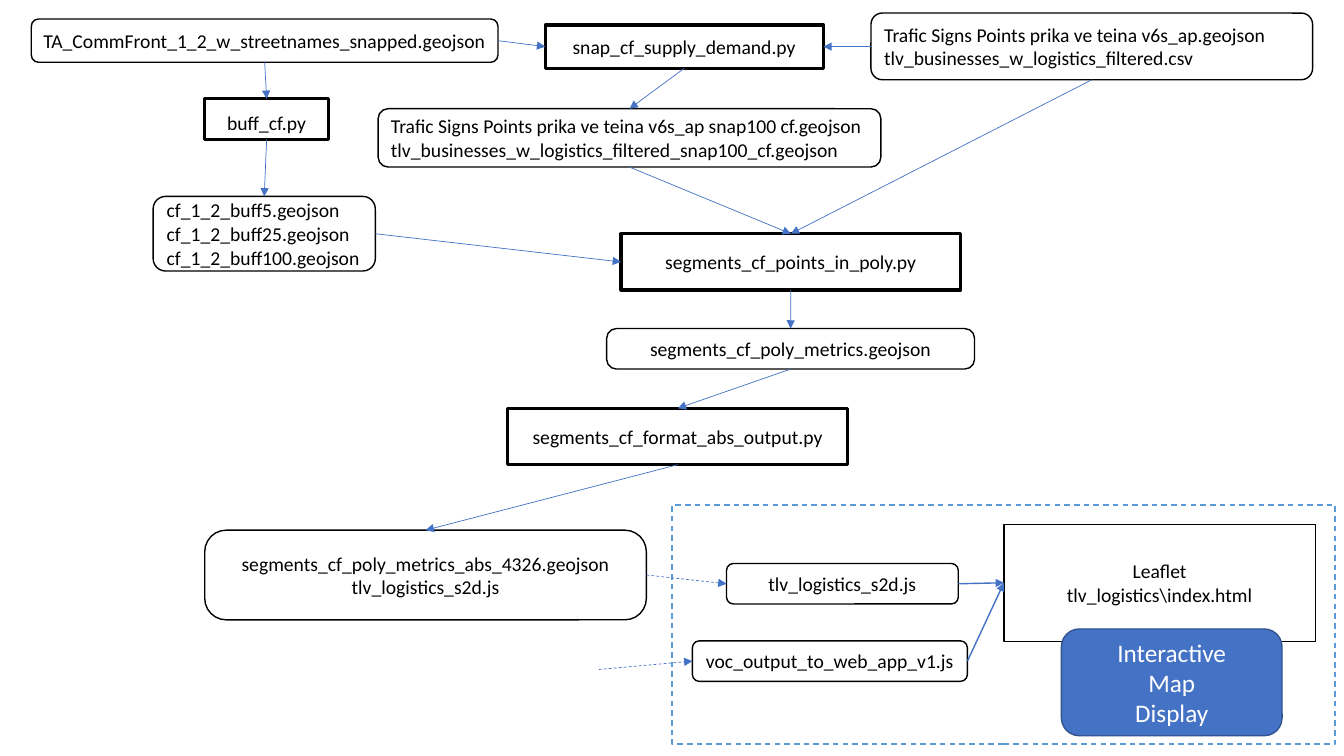
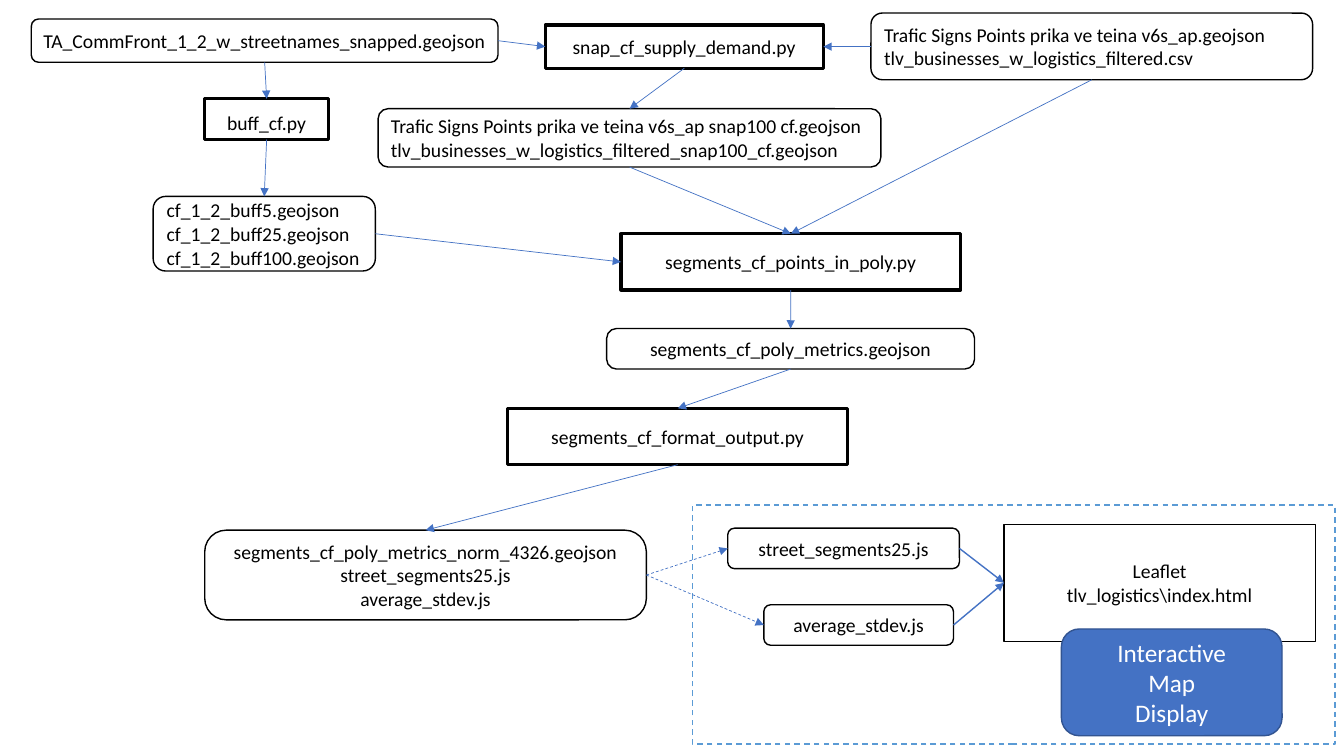
from dataclasses import dataclass

from lxml import etree
from pptx import Presentation
from pptx import util as u
from pptx.dml.color import RGBColor
from pptx.enum import dml, shapes, text
from pptx.oxml import ns

TOP, LEFT, BOTTOM, RIGHT = range(4)


@dataclass(frozen=True)
class Theme:
    font: str = "Calibri"
    body_size: float = 14
    display_size: float = 18
    ink: str = "000000"
    paper: str = "FFFFFF"
    accent: str = "4472C4"
    accent_edge: str = "325491"
    panel_edge: str = "5B9BD5"
    hairline: float = 0.5
    outline: float = 1
    heavy: float = 2.25


class FlowDeck:
    """Holds the theme and the slide being drawn."""

    def __init__(self, theme):
        self.theme = theme
        self.deck = Presentation()
        self.deck.slide_width, self.deck.slide_height = u.Cm(33.87), u.Cm(19.05)
        self.slide = None

    def new_slide(self):
        self.slide = self.deck.slides.add_slide(self.deck.slide_layouts[6])

    def stroke(self, line, color, width, dashed=False):
        line.color.rgb = RGBColor.from_string(color)
        line.width = u.Pt(width)
        if dashed:
            line.dash_style = dml.MSO_LINE.DASH

    def box(self, place, lines=(), rounded=False, fill=None, edge=None, width=None,
            dashed=False, color=None, size=None, left=False):
        kind = shapes.MSO_SHAPE.ROUNDED_RECTANGLE if rounded else shapes.MSO_SHAPE.RECTANGLE
        node = self.slide.shapes.add_shape(kind, *map(u.Cm, place))
        node.shadow.inherit = False
        if fill:
            node.fill.solid()
            node.fill.fore_color.rgb = RGBColor.from_string(fill)
        else:
            node.fill.background()
        self.stroke(node.line, edge or self.theme.ink, width or self.theme.outline, dashed)

        frame = node.text_frame
        frame.word_wrap = True
        frame.vertical_anchor = text.MSO_ANCHOR.MIDDLE
        if left:
            frame.margin_right = 0
        frame.text = "\n".join(lines)
        for paragraph in frame.paragraphs:
            paragraph.alignment = text.PP_ALIGN.LEFT if left else text.PP_ALIGN.CENTER
            for run in paragraph.runs:
                run.font.name = self.theme.font
                run.font.size = u.Pt(size or self.theme.body_size)
                run.font.color.rgb = RGBColor.from_string(color or self.theme.ink)
        return node

    def script(self, place, name):
        return self.box(place, [name], fill=self.theme.paper, width=self.theme.heavy)

    def files(self, place, *names, left=False, corner=None):
        node = self.box(place, names, rounded=True, fill=self.theme.paper, left=left)
        if corner:
            node.adjustments[0] = corner
        return node

    def page(self, place, *lines):
        return self.box(place, lines)

    def display(self, place, *lines):
        return self.box(place, lines, rounded=True, fill=self.theme.accent,
                        edge=self.theme.accent_edge, color=self.theme.paper,
                        size=self.theme.display_size)

    def panel(self, place):
        return self.box(place, edge=self.theme.panel_edge, dashed=True)

    def arrow(self, target, side, source=None, source_side=None, start=(0, 0),
              width=None, dashed=False):
        """Runs from a side of source, or from a free start point, to a side of target."""
        x, y = map(u.Cm, start)
        link = self.slide.shapes.add_connector(shapes.MSO_CONNECTOR.STRAIGHT, x, y, x, y)
        if source is not None:
            link.begin_connect(source, source_side)
        link.end_connect(target, side)
        self.stroke(link.line, self.theme.accent, width or self.theme.hairline, dashed)
        etree.SubElement(link.line._get_or_add_ln(), ns.qn("a:tailEnd"), type="triangle")
        etree.SubElement(link._element.spPr, ns.qn("a:effectLst"))

    def save(self):
        self.deck.save("out.pptx")


def draw_pipeline(flow, format_name, output_names, panel_left):
    """Draws the steps both slides share; returns the output files and the web page."""
    flow.new_slide()
    flow.panel((panel_left, 12.73, 33.65 - panel_left, 6.02))

    # Inputs and preparation
    streets = flow.files((0.79, 0.48, 11.76, 1.09),
                         "TA_CommFront_1_2_w_streetnames_snapped.geojson", left=True)
    buffer_script = flow.script((5.16, 2.49, 3.12, 1.02), "buff_cf.py")
    buffer_script.text_frame.vertical_anchor = text.MSO_ANCHOR.BOTTOM
    buffers = flow.files((3.86, 4.95, 5.6, 1.88), "cf_1_2_buff5.geojson",
                         "cf_1_2_buff25.geojson", "cf_1_2_buff100.geojson", left=True)
    points = flow.files((21.95, 0.33, 11.13, 1.68),
                        "Trafic Signs Points prika ve teina v6s_ap.geojson",
                        "tlv_businesses_w_logistics_filtered.csv", left=True, corner=0.17)
    snap_script = flow.script((13.74, 0.63, 7.01, 1.09), "snap_cf_supply_demand.py")
    snapped = flow.files((9.53, 2.74, 12.67, 1.47),
                         "Trafic Signs Points prika ve teina v6s_ap snap100 cf.geojson",
                         "tlv_businesses_w_logistics_filtered_snap100_cf.geojson",
                         left=True, corner=0.17)

    # Metrics and output
    poly_script = flow.script((15.65, 5.89, 8.56, 1.42), "segments_cf_points_in_poly.py")
    metrics = flow.files((15.29, 8.28, 9.27, 1.02), "segments_cf_poly_metrics.geojson",
                         corner=0.24)
    format_script = flow.script((12.8, 10.29, 8.56, 1.42), format_name)
    output = flow.files((5.16, 13.36, 11.13, 2.26), *output_names, corner=0.24)

    # Web page
    web_page = flow.page((25.3, 13.21, 7.85, 2.95), "Leaflet", "tlv_logistics\\index.html")
    flow.display((26.75, 15.85, 5.56, 2.69), "Interactive", "Map", "Display")

    # Flow between the steps
    for source, source_side, target, side in (
        (streets, BOTTOM, buffer_script, TOP),
        (streets, RIGHT, snap_script, LEFT),
        (buffer_script, BOTTOM, buffers, TOP),
        (buffers, RIGHT, poly_script, LEFT),
        (points, LEFT, snap_script, RIGHT),
        (points, BOTTOM, poly_script, TOP),
        (snap_script, BOTTOM, snapped, TOP),
        (snapped, BOTTOM, poly_script, TOP),
        (poly_script, BOTTOM, metrics, TOP),
        (metrics, BOTTOM, format_script, TOP),
        (format_script, BOTTOM, output, TOP),
    ):
        flow.arrow(target, side, source, source_side)
    return output, web_page


def draw_web_input(flow, place, name, web_page, output=None, start=(0, 0)):
    """Draws a data file of the web page with its arrows in and out."""
    web_input = flow.files(place, name)
    flow.arrow(web_input, LEFT, output, RIGHT, start=start, dashed=True)
    flow.arrow(web_page, LEFT, web_input, RIGHT, width=flow.theme.outline)


def main():
    flow = FlowDeck(Theme())

    # Slide 1: absolute values
    output, web_page = draw_pipeline(
        flow, "segments_cf_format_abs_output.py",
        ["segments_cf_poly_metrics_abs_4326.geojson", "tlv_logistics_s2d.js"], 16.94)
    draw_web_input(flow, (18.31, 14.2, 5.84, 1.02), "tlv_logistics_s2d.js", web_page, output)
    draw_web_input(flow, (17.45, 16.15, 6.93, 1.02), "voc_output_to_web_app_v1.js", web_page,
                   start=(15.09, 16.87))

    # Slide 2: normalised values
    output, web_page = draw_pipeline(
        flow, "segments_cf_format_output.py",
        ["segments_cf_poly_metrics_norm_4326.geojson", "street_segments25.js",
         "average_stdev.js"], 17.45)
    draw_web_input(flow, (18.34, 13.31, 5.84, 1.02), "street_segments25.js", web_page, output)
    draw_web_input(flow, (19.25, 15.24, 4.78, 1.02), "average_stdev.js", web_page, output)

    flow.save()


if __name__ == "__main__":
    main()
